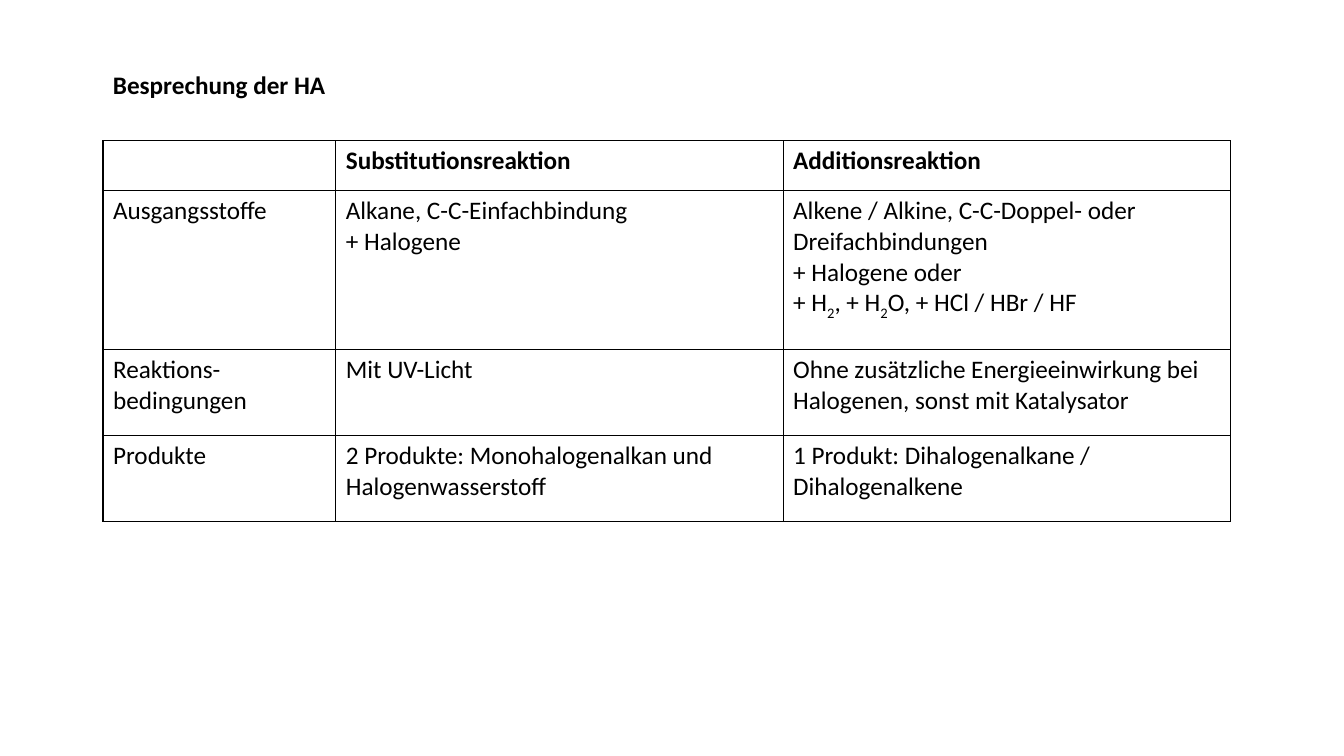
from lxml import etree
from pptx import Presentation
from pptx.dml.color import RGBColor
from pptx.oxml.ns import qn
from pptx.util import Pt

LEFT = 73.6
COLS = [166.3, 319.5, 319.5]
ROWS = [35.6, 113.6, 61.4, 61.4]

# A cell is a list of lines; a line is a list of runs; "_" marks a subscript.
HEAD = [[], [["Substitutionsreaktion"]], [["Additionsreaktion"]]]
BODY = [
    [[["Ausgangsstoffe"]],
     [["Alkane, C-C-Einfachbindung"], ["+ Halogene"]],
     [["Alkene / Alkine, C-C-Doppel- oder Dreifachbindungen"],
      ["+ Halogene oder"],
      ["+ H", "_2", ", + H", "_2", "O, + HCl / HBr / HF"]]],
    [[["Reaktions-bedingungen"]],
     [["Mit UV-Licht"]],
     [["Ohne zusätzliche Energieeinwirkung bei Halogenen, "
       "sonst mit Katalysator"]]],
    [[["Produkte"]],
     [["2 Produkte: Monohalogenalkan und Halogenwasserstoff"]],
     [["1 Produkt: Dihalogenalkane / Dihalogenalkene"]]],
]


def color(code):
    return RGBColor.from_string(code)


class Page:
    font, size, ink = "Calibri", 18, "000000"

    def __init__(self, slide):
        self.slide = slide

    def fill_text(self, frame, lines, bold=False):
        frame.word_wrap = True
        for i, line in enumerate(lines):
            para = frame.add_paragraph() if i else frame.paragraphs[0]
            for part in line:
                run = para.add_run()
                run.text = part.lstrip("_")
                font = run.font
                font.name, font.size, font.bold = self.font, Pt(self.size), bold
                font.color.rgb = color(self.ink)
                if part.startswith("_"):
                    run._r.get_or_add_rPr().set("baseline", "-25000")

    def label(self, x, y, w, h, lines, bold=False):
        box = self.slide.shapes.add_textbox(Pt(x), Pt(y), Pt(w), Pt(h))
        self.fill_text(box.text_frame, lines, bold)

    def border(self, cell):
        """Draw a thin line on all four sides of the cell."""
        props = cell._tc.get_or_add_tcPr()
        for i, side in enumerate(("lnL", "lnR", "lnT", "lnB")):
            line = etree.Element(qn("a:" + side), w=str(Pt(1)))
            fill = etree.SubElement(line, qn("a:solidFill"))
            etree.SubElement(fill, qn("a:srgbClr"), val=self.ink)
            props.insert(i, line)

    def table(self, x, y, cols, rows, data):
        """Draw a ruled table whose first row is bold."""
        grid = self.slide.shapes.add_table(
            len(rows), len(cols), Pt(x), Pt(y), Pt(sum(cols)), Pt(sum(rows))).table
        grid.first_row = grid.horz_banding = False
        for col, width in zip(grid.columns, cols):
            col.width = Pt(width)
        for r, (row, height) in enumerate(zip(grid.rows, rows)):
            row.height = Pt(height)
            for cell, lines in zip(row.cells, data[r]):
                cell.fill.background()
                self.border(cell)
                self.fill_text(cell.text_frame, lines, bold=r == 0)


def main():
    deck = Presentation()
    deck.slide_width, deck.slide_height = Pt(960), Pt(540)
    page = Page(deck.slides.add_slide(deck.slide_layouts[6]))
    page.label(LEFT, 46, 511, 29, [["Besprechung der HA"]], bold=True)
    page.table(LEFT, 100.5, COLS, ROWS, [HEAD] + BODY)
    deck.save("out.pptx")


if __name__ == "__main__":
    main()
